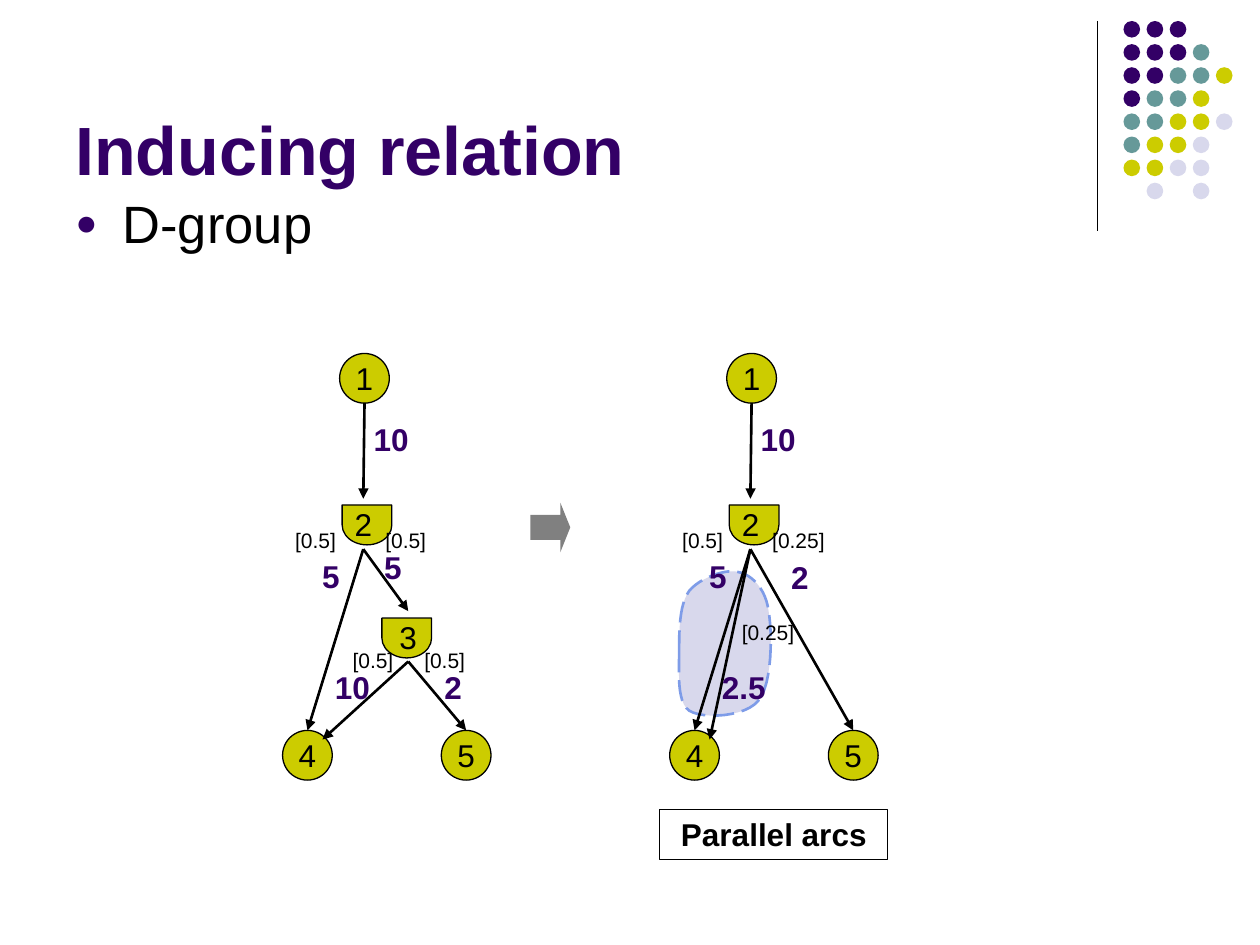
"""Build the slide on inducing relations, with two flow graphs side by side."""
import pptx
import pptx.util
import pptx.dml.color
import pptx.enum.dml
import pptx.enum.shapes
import pptx.enum.text
import pptx.oxml.ns
from lxml import etree

Pt = pptx.util.Pt
SHAPES = pptx.enum.shapes.MSO_SHAPE
ANCHOR = pptx.enum.text.MSO_ANCHOR
ALIGN = pptx.enum.text.PP_ALIGN

PURPLE, TEAL, OLIVE, LILAC, BLACK = "330066", "669999", "CCCC00", "D8D8EC", "000000"
DOT_COLOURS = {"P": PURPLE, "T": TEAL, "O": OLIVE, "L": LILAC}
DOT_ROWS = ["PPP", "PPPT", "PPTTO", "PTTO", "TTOOL", "TOOL", "OOLL", " L L"]
DOT_LEFT, DOT_TOP, DOT_PITCH, DOT_SIZE = 642, 12, 13.2, 9.5

NODE_SIZE = 28.4
GATE_DEPTH = 22.8
NODES = [("1", 208.3, 216.2), ("4", 175.7, 431.6), ("5", 266.4, 431.6)]
LABEL_STYLES = {
    "gate": (18, BLACK, False),
    "flow": (18, PURPLE, True),
    "share": (12, BLACK, False),
}
LABEL_SIZES = {
    "gate": {1: (24.6, 28.8)},
    "flow": {1: (24.6, 28.8), 2: (34.8, 28.8), 3: (40, 28.8)},
    "share": {5: (38.2, 21.6), 6: (45, 21.6)},
}

GATE_TWO_EXIT = (207.6, 313.8)
GATE_THREE_EXIT = (233.3, 378)
SHARED = {
    "gates": [(209.7, 300)],
    "arrows": [((208.3, 230.4), (207.6, 285)), (GATE_TWO_EXIT, "4")],
    "labels": [
        ("gate", "2", 195.6, 285),
        ("flow", "10", 206.4, 236.2),
        ("flow", "5", 177, 314.6),
        ("share", "[0.5]", 161.6, 298.1),
    ],
}
GRAPHS = [
    (0, {
        "gates": [(232.4, 364.6)],
        "arrows": [
            (GATE_TWO_EXIT, (233.3, 349.2)),
            (GATE_THREE_EXIT, (184.3, 422.6)),
            (GATE_THREE_EXIT, "5"),
        ],
        "labels": [
            ("gate", "3", 221.2, 349.4),
            ("flow", "5", 212.4, 309.6),
            ("flow", "10", 184.3, 378),
            ("flow", "2", 246.8, 378),
            ("share", "[0.5]", 213.1, 298.1),
            ("share", "[0.5]", 194.4, 366.3),
            ("share", "[0.5]", 235.4, 366.3),
        ],
    }),
    (221.2, {
        "gates": [],
        "arrows": [(GATE_TWO_EXIT, (184.3, 422.6)), (GATE_TWO_EXIT, "5")],
        "labels": [
            ("flow", "2", 223.8, 315.4),
            ("flow", "2.5", 184.2, 378),
            ("share", "[0.25]", 213, 298.1),
            ("share", "[0.25]", 195.6, 350.6),
        ],
    }),
]

BLOB_START = (388.1, 372.2)
BLOB_CURVES = [
    ((388.1, 360.7), (388.1, 345.6), (393.8, 337.7)),
    ((399.6, 330.5), (414.7, 324.7), (421.9, 326.9)),
    ((429.8, 328.3), (437.8, 337), (439.2, 349.2)),
    ((441.4, 361.4), (441.4, 391), (433.4, 400.3)),
    ((426.2, 409.7), (401.8, 411.1), (393.8, 406.1)),
    ((386.6, 401), (388.1, 383.8), BLOB_START),
]
CURVE_STEPS = 12


def colour(value):
    return pptx.dml.color.RGBColor.from_string(value)


def paint(shape, fill=None, line=None, width=0.75):
    shape.shadow.inherit = False
    if fill:
        shape.fill.solid()
        shape.fill.fore_color.rgb = colour(fill)
    else:
        shape.fill.background()
    if line:
        shape.line.color.rgb = colour(line)
        shape.line.width = Pt(width)
    else:
        shape.line.fill.background()


def add_shape(slide, kind, left, top, width, height, fill=None, line=None):
    shape = slide.shapes.add_shape(kind, Pt(left), Pt(top), Pt(width), Pt(height))
    paint(shape, fill, line)
    return shape


def write(shape, text, size, text_colour=BLACK, bold=False, align=ALIGN.LEFT,
          anchor=ANCHOR.TOP, wrap=False):
    frame = shape.text_frame
    frame.word_wrap = wrap
    frame.vertical_anchor = anchor
    paragraph = frame.paragraphs[0]
    paragraph.alignment = align
    run = paragraph.add_run()
    run.text = text
    run.font.name = "Arial"
    run.font.size = Pt(size)
    run.font.bold = bold
    run.font.color.rgb = colour(text_colour)
    return paragraph


def add_text(slide, box, text, size, *style, **options):
    shape = slide.shapes.add_textbox(*map(Pt, box))
    return write(shape, text, size, *style, **options)


def add_line(slide, start, end, width, arrow=False):
    connector = slide.shapes.add_connector(
        pptx.enum.shapes.MSO_CONNECTOR.STRAIGHT, *map(Pt, start + end))
    connector.line.color.rgb = colour(BLACK)
    connector.line.width = Pt(width)
    if arrow:
        etree.SubElement(connector.line._get_or_add_ln(),
                         pptx.oxml.ns.qn("a:tailEnd"), type="triangle")
    etree.SubElement(connector._element.spPr, pptx.oxml.ns.qn("a:effectLst"))
    return connector


def add_bullet(paragraph, indent):
    properties = paragraph._p.get_or_add_pPr()
    properties.set("marL", str(Pt(indent)))
    properties.set("indent", str(-Pt(indent)))
    bullet_colour = etree.SubElement(properties, pptx.oxml.ns.qn("a:buClr"))
    etree.SubElement(bullet_colour, pptx.oxml.ns.qn("a:srgbClr"), val=PURPLE)
    etree.SubElement(properties, pptx.oxml.ns.qn("a:buSzPct"), val="70000")
    etree.SubElement(properties, pptx.oxml.ns.qn("a:buFont"), typeface="Arial")
    etree.SubElement(properties, pptx.oxml.ns.qn("a:buChar"), char="●")


def add_dots(slide):
    for row, letters in enumerate(DOT_ROWS):
        for column, letter in enumerate(letters):
            if letter in DOT_COLOURS:
                add_shape(slide, SHAPES.OVAL, DOT_LEFT + column * DOT_PITCH,
                          DOT_TOP + row * DOT_PITCH, DOT_SIZE, DOT_SIZE, DOT_COLOURS[letter])


def add_blob(slide):
    points, start = [], BLOB_START
    for first, second, end in BLOB_CURVES:
        for step in range(1, CURVE_STEPS + 1):
            t = step / CURVE_STEPS
            weights = ((1 - t) ** 3, 3 * t * (1 - t) ** 2, 3 * t * t * (1 - t), t ** 3)
            corners = (start, first, second, end)
            points.append(tuple(
                Pt(sum(weight * corner[axis] for weight, corner in zip(weights, corners)))
                for axis in (0, 1)))
        start = end
    builder = slide.shapes.build_freeform(*map(Pt, BLOB_START))
    builder.add_line_segments(points, close=True)
    blob = builder.convert_to_shape()
    paint(blob, LILAC, "7E9CE8", 1.5)
    blob.line.dash_style = pptx.enum.dml.MSO_LINE.LONG_DASH


def add_graph(slide, shift, extra):
    parts = {name: SHARED[name] + extra[name] for name in SHARED}
    nodes = {}
    for name, x, y in NODES:
        node = add_shape(slide, SHAPES.OVAL, x + shift - NODE_SIZE / 2, y - NODE_SIZE / 2,
                         NODE_SIZE, NODE_SIZE, OLIVE, BLACK)
        write(node, name, 18, align=ALIGN.CENTER, anchor=ANCHOR.MIDDLE)
        nodes[name] = node
    for x, y in parts["gates"]:
        gate = add_shape(slide, SHAPES.FLOWCHART_DELAY, x + shift - GATE_DEPTH / 2,
                         y - NODE_SIZE / 2, GATE_DEPTH, NODE_SIZE, OLIVE, BLACK)
        gate.rotation = 90
    for (x, y), target in parts["arrows"]:
        start = (x + shift, y)
        if target in nodes:
            add_line(slide, start, start, 1.5, True).end_connect(nodes[target], 0)
        else:
            add_line(slide, start, (target[0] + shift, target[1]), 1.5, True)
    for style, text, left, top in parts["labels"]:
        box = (left + shift, top) + LABEL_SIZES[style][len(text)]
        add_text(slide, box, text, *LABEL_STYLES[style])


def main():
    presentation = pptx.Presentation()
    presentation.slide_width, presentation.slide_height = Pt(720), Pt(540)
    slide = presentation.slides.add_slide(presentation.slide_layouts[6])
    add_line(slide, (627, 12), (627, 132), 0.75)
    add_dots(slide)
    add_blob(slide)
    caption = add_shape(slide, SHAPES.RECTANGLE, 377, 462.6, 130.3, 28.4, line=BLACK)
    write(caption, "Parallel arcs", 18, BLACK, True, ALIGN.CENTER, ANCHOR.MIDDLE)
    add_text(slide, (36, 9.4, 594, 102.2), "Inducing relation", 39, PURPLE, True,
             anchor=ANCHOR.BOTTOM, wrap=True)
    add_bullet(add_text(slide, (36, 105.8, 648, 72), "D-group", 30, wrap=True), 27)
    for shift, extra in GRAPHS:
        add_graph(slide, shift, extra)
    arrow = add_shape(slide, SHAPES.RIGHT_ARROW, 303.1, 287.2, 22.8, 28.4, "808080")
    arrow.adjustments[1] = 0.25
    presentation.save("out.pptx")


if __name__ == "__main__":
    main()
